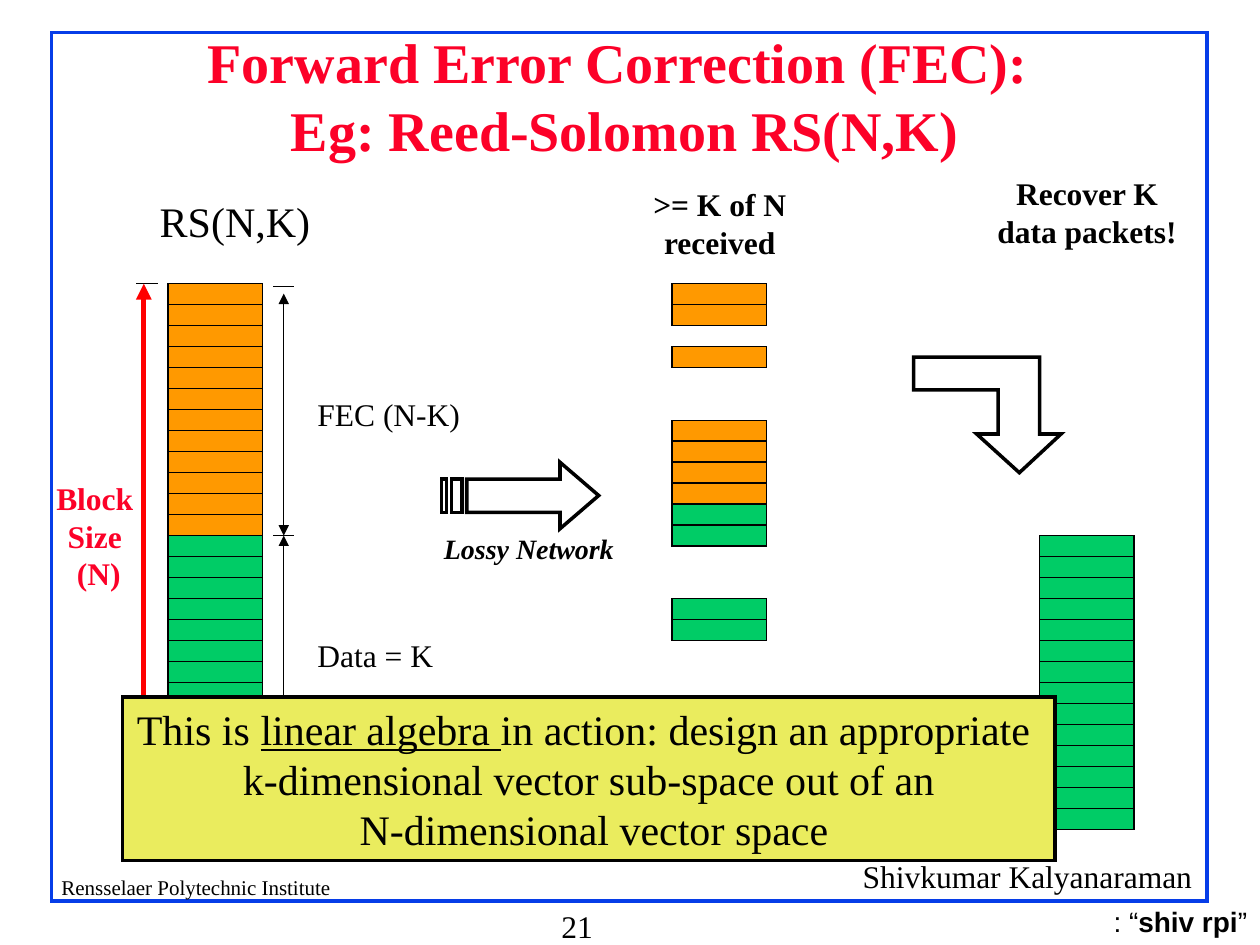
from pptx import Presentation
from pptx.dml.color import RGBColor
from pptx.enum.shapes import MSO_CONNECTOR, MSO_SHAPE
from pptx.enum.text import MSO_ANCHOR, MSO_AUTO_SIZE as FIT, PP_ALIGN as AL
from pptx.oxml.ns import qn
from pptx.util import Cm, Pt
from lxml.etree import SubElement

BLACK = RGBColor(0x00, 0x00, 0x00)
BLUE = RGBColor(0x06, 0x3D, 0xE8)
RED = RGBColor(0xFC, 0x01, 0x28)
ARROW_RED = RGBColor(0xFF, 0x00, 0x00)
GREEN = RGBColor(0x00, 0xCC, 0x66)
ORANGE = RGBColor(0xFF, 0x99, 0x00)
YELLOW = RGBColor(0xEA, 0xEC, 0x5E)

FEC_ROWS, DATA_ROWS = 12, 14
ROWS = FEC_ROWS + DATA_ROWS
RECEIVED_FEC = (0, 1, 3, 6.5, 7.5, 8.5, 9.5)
RECEIVED_DATA = (10.5, 11.5, 15, 16)


def fill_text(tf, lines, size=18, color=BLACK, font="Times New Roman", bold=False,
              italic=False, align=AL.LEFT, wrap=False, fit=FIT.SHAPE_TO_FIT_TEXT,
              anchor=MSO_ANCHOR.TOP):
    tf.word_wrap = wrap
    tf.auto_size = fit
    tf.vertical_anchor = anchor
    for i, line in enumerate(lines):
        p = tf.add_paragraph() if i else tf.paragraphs[0]
        p.alignment = align
        for words, extra in [(line, {})] if isinstance(line, str) else line:
            for j, part in enumerate(words.split("\n")):
                if j:
                    p.add_line_break()
                r = p.add_run()
                r.text = part
                f = r.font
                f.name, f.size, f.italic = font, Pt(size), italic
                f.bold = extra.get("bold", bold)
                f.underline = extra.get("underline", False)
                f.color.rgb = color


def text(s, box, *lines, **fmt):
    sp = s.shapes.add_textbox(*map(Cm, box))
    fill_text(sp.text_frame, lines, **fmt)


def style(sp, fill=None, line=BLACK, width=0.75):
    sp.shadow.inherit = False
    if fill is None:
        sp.fill.background()
    else:
        sp.fill.solid()
        sp.fill.fore_color.rgb = fill
    sp.line.color.rgb = line
    sp.line.width = Pt(width)
    SubElement(sp.line._get_or_add_ln(), qn("a:miter"), lim="800000")


def rect(s, box, **look):
    sp = s.shapes.add_shape(MSO_SHAPE.RECTANGLE, *map(Cm, box))
    style(sp, **look)
    return sp


def outline(s, x, y, *contours):
    first, *others = contours
    fb = s.shapes.build_freeform(*first[0], scale=Cm(0.01))
    fb.add_line_segments(first[1:], close=True)
    for points in others:
        fb.move_to(*points[0])
        fb.add_line_segments(points[1:], close=True)
    style(fb.convert_to_shape(Cm(x), Cm(y)), width=2)


def line(s, x1, y1, x2, y2, color=BLACK, width=0.75, arrows=False):
    c = s.shapes.add_connector(MSO_CONNECTOR.STRAIGHT, *map(Cm, (x1, y1, x2, y2)))
    c.line.color.rgb = color
    c.line.width = Pt(width)
    if arrows:
        for end in ("a:headEnd", "a:tailEnd"):
            SubElement(c.line._get_or_add_ln(), qn(end), type="triangle")
    SubElement(c._element.spPr, qn("a:effectLst"))


def packets(s, box, rows, color):
    x, y, w, h = box
    row = h / ROWS
    for n in rows:
        rect(s, (x, y + n * row, w, row), fill=color)


def data_block(s, box, filled):
    x, y, w, h = box
    row = h / ROWS
    rect(s, (x, y + FEC_ROWS * row, w, DATA_ROWS * row))
    packets(s, box, range(FEC_ROWS, FEC_ROWS + filled), GREEN)


def frame(s, box):
    x, y, w, h = box
    rect(s, box, line=BLUE, width=2)
    text(s, (x + 16.1, y + 16.49, 7.16, 1.02), "Shivkumar Kalyanaraman")
    text(s, (x - 0.05, y + 16.84, 5.94, 0.76), "Rensselaer Polytechnic Institute", size=12)
    text(s, (x + 10.03, y + h, 3.15, 1.02), "21")
    text(s, (x + 21.16, y + 17.45, 3.2, 0.94),
         [(": “", {}), ("shiv rpi", {"bold": True}), ("”", {})], size=16, font="Arial")


def title(s, box):
    sp = s.shapes.title
    sp.left, sp.top, sp.width, sp.height = map(Cm, box)
    fill_text(sp.text_frame, ["Forward Error Correction (FEC): \nEg: Reed-Solomon RS(N,K)"],
              size=32, color=RED, bold=True, align=AL.CENTER, wrap=True, fit=FIT.NONE,
              anchor=MSO_ANCHOR.BOTTOM)


def sender(s, box):
    x, y, w, h = box
    split = y + FEC_ROWS * h / ROWS
    data_block(s, box, 8)
    packets(s, box, range(FEC_ROWS), ORANGE)
    for tick_y in (y + 0.05, split):
        line(s, x + 2.12, tick_y, x + 2.54, tick_y)
    for top, bottom in ((y + 0.2, split), (split, y + h)):
        line(s, x + 2.33, top, x + 2.33, bottom, arrows=True)
    line(s, x - 0.64, y, x - 0.21, y)
    line(s, x - 0.49, y, x - 0.49, y + 11.21, color=ARROW_RED, width=3, arrows=True)
    text(s, (x + 2.76, y + 2.11, 3.5, 1.02), "FEC (N-K)")
    text(s, (x + 2.76, y + 6.98, 3, 1.02), "Data = K")
    text(s, (x - 2.6, y + 3.81, 2.4, 2.54), "Block ", "Size ", "(N)",
         color=RED, bold=True, align=AL.CENTER)
    text(s, (x - 0.42, y - 1.91, 3.8, 1.27), "RS(N,K)", size=24)


def receiver(s, box):
    x, y, w, h = box
    stripes = [[(a, 34), (b, 34), (b, 101), (a, 101)] for a, b in ((0, 10), (20, 41))]
    head = [(51, 34), (239, 34), (239, 0), (317, 67), (239, 134), (239, 101), (51, 101)]
    outline(s, x - 4.65, y + 3.6, head, *stripes)
    packets(s, box, RECEIVED_FEC, ORANGE)
    packets(s, box, RECEIVED_DATA, GREEN)
    text(s, (x - 0.82, y - 2.11, 3.56, 1.78), ">= K of N", "received",
         bold=True, align=AL.CENTER)
    text(s, (x - 4.85, y + 4.88, 4.1, 0.94), "Lossy Network", size=16,
         bold=True, italic=True)


def recovery(s, box):
    x, y, w, h = box
    text(s, (x - 1.27, y - 2.33, 4.45, 1.78), "Recover K data packets!",
         bold=True, align=AL.CENTER, wrap=True)
    data_block(s, box, DATA_ROWS)
    outline(s, x - 2.54, y + 1.48,
            [(0, 66), (170, 66), (170, 155), (127, 155), (213, 233), (297, 155),
             (254, 155), (254, 0), (0, 0)])


def callout(s, box):
    sp = rect(s, box, fill=YELLOW, width=2)
    fill_text(sp.text_frame,
              [[("This is ", {}), ("linear algebra ", {"underline": True}),
                ("in action: design an appropriate ", {})],
               "k-dimensional vector sub-space out of an",
               " N-dimensional vector space"], size=24, align=AL.CENTER)


def main():
    prs = Presentation()
    prs.slide_width, prs.slide_height = Cm(25.4), Cm(19.05)
    s = prs.slides.add_slide(prs.slide_layouts[5])
    frame(s, (1.04, 0.66, 23.29, 17.5))
    title(s, (1.07, 1.07, 23.06, 2.33))
    for region, x in ((sender, 3.39), (receiver, 13.55), (recovery, 20.96)):
        region(s, (x, 5.72, 1.9, 11))
    callout(s, (2.47, 14.05, 18.8, 3.3))
    prs.save("out.pptx")


if __name__ == "__main__":
    main()
